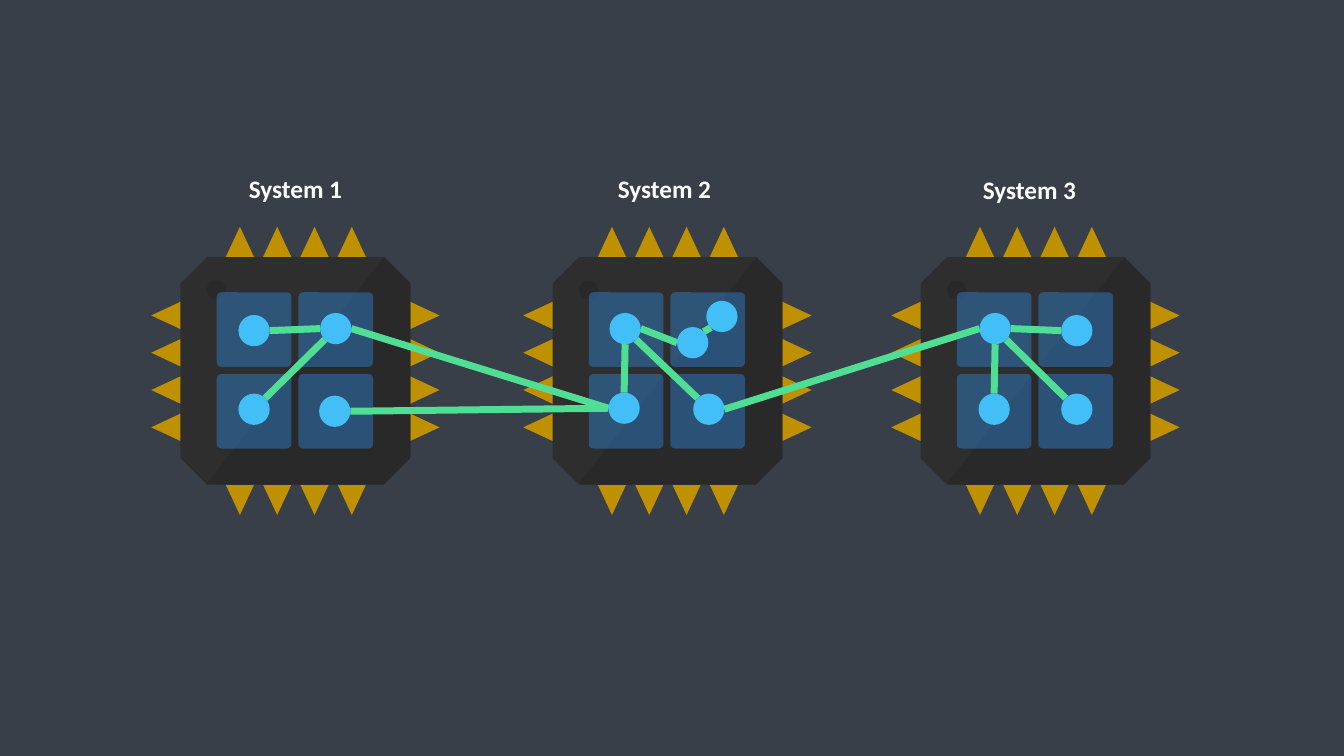
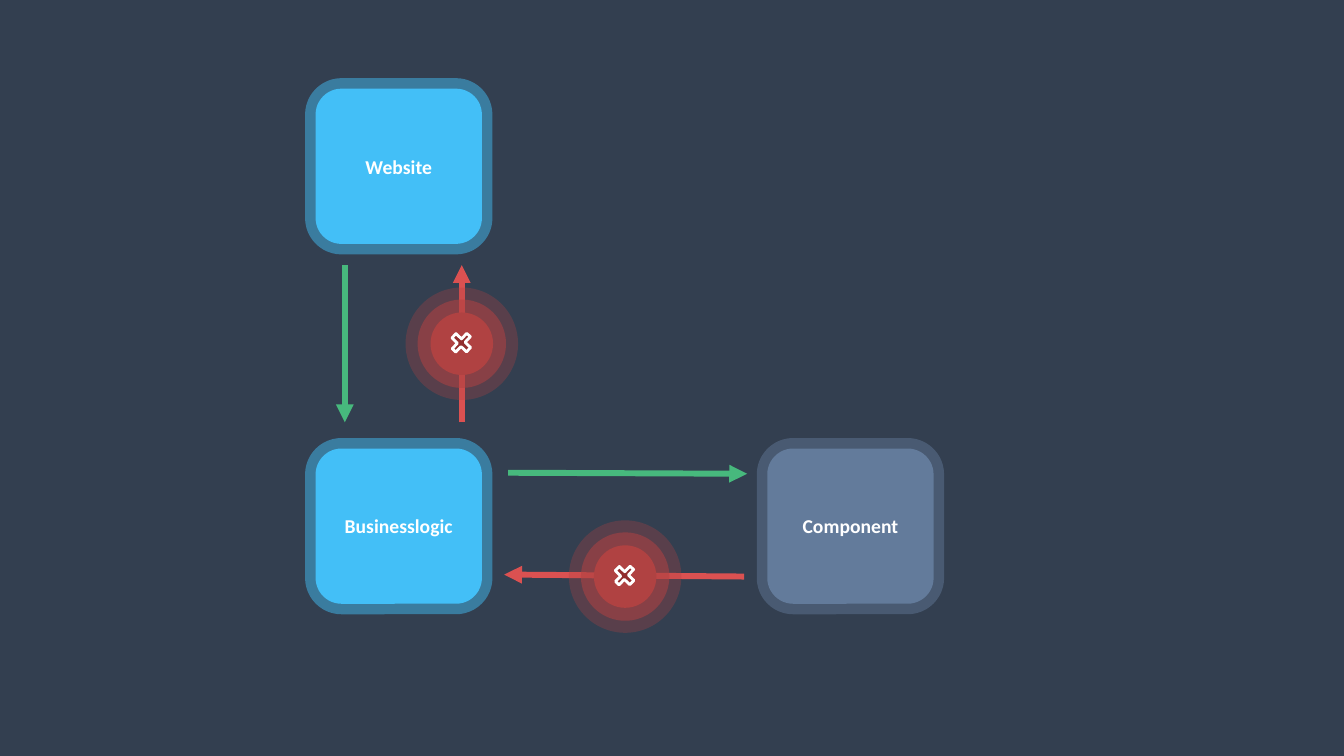
from dataclasses import dataclass
from math import cos, radians, sin

from lxml import etree
from pptx import Presentation
from pptx.dml.color import RGBColor
from pptx.enum.shapes import MSO_CONNECTOR, MSO_SHAPE
from pptx.enum.text import MSO_ANCHOR, PP_ALIGN
from pptx.oxml.ns import qn
from pptx.util import Inches, Pt

STRAIGHT = MSO_CONNECTOR.STRAIGHT
OCTAGON, OVAL, CROSS = MSO_SHAPE.OCTAGON, MSO_SHAPE.OVAL, MSO_SHAPE.CROSS
ROUNDED = MSO_SHAPE.ROUNDED_RECTANGLE
LEFT, CENTER = PP_ALIGN.LEFT, PP_ALIGN.CENTER
TOP, MIDDLE = MSO_ANCHOR.TOP, MSO_ANCHOR.MIDDLE
E, SE, S, SW, W, NW, N, NE = range(0, 360, 45)


@dataclass(frozen=True)
class Theme:
    """Colours, font and type sizes of the deck."""
    chip_page: str = "383F48"
    flow_page: str = "333F50"
    pin: str = "BF9000"
    chip: str = "2E2E2E"
    chip_shade: str = "292929"
    core: str = "2E75B6"
    link: str = "50DE94"
    blue: str = "43BFF7"
    slate: str = "637B9B"
    allowed: str = "47B97D"
    denied: str = "DB5151"
    badge: str = "B04242"
    cross: str = "922E2E"
    white: str = "FFFFFF"
    font: str = "Calibri"
    heading_size: int = 18
    label_size: int = 14


THEME = Theme()

CHIP_TOP = 2.25
CHIP_SPAN = 2.86
PIN_LENGTH = 0.3
NODE_SIZE = 0.31

# Chip left, heading left, heading top, heading
SYSTEMS = [
    (1.5, 2.37, 1.67, "System 1"),
    (5.19, 6.03, 1.67, "System 2"),
    (8.84, 9.65, 1.68, "System 3"),
]

# Centre of each node: system number and position on its chip
NODES = {
    "1 top left": (2.52, 3.28), "1 top right": (3.33, 3.26),
    "1 low left": (2.52, 4.06), "1 low right": (3.32, 4.08),
    "2 top left": (6.2, 3.26), "2 top right": (6.87, 3.4),
    "2 corner": (7.16, 3.14),
    "2 low left": (6.19, 4.05), "2 low right": (7.03, 4.06),
    "3 top left": (9.87, 3.26), "3 top right": (10.68, 3.28),
    "3 low left": (9.86, 4.06), "3 low right": (10.68, 4.06),
}

# Start node, side it leaves, end node, side it enters
LINKS = [
    ("3 top left", W, "2 low right", E),
    ("2 low left", W, "1 top right", E),
    ("2 low left", W, "1 low right", E),
    ("2 top left", S, "2 low left", N),
    ("1 top right", W, "1 top left", E),
    ("1 top right", SW, "1 low left", NE),
    ("3 top left", S, "3 low left", N),
    ("3 top left", SE, "3 low right", NW),
    ("2 top left", SE, "2 low right", NW),
    ("3 top left", E, "3 top right", W),
    ("2 top right", W, "2 top left", E),
    ("2 top right", NE, "2 corner", SW),
]


def set_alpha(shape, route, alpha):
    """Make the colour found at a route below spPr partly opaque."""
    colour = shape.element.spPr.find("/".join(qn(tag) for tag in route))
    etree.SubElement(colour, qn("a:alpha")).set("val", str(alpha * 1000))


def paint(shape, fill=None, line=None, weight=1, fill_alpha=100, line_alpha=100):
    """Set fill and outline of a shape and drop its shadow."""
    shape.shadow.inherit = False
    if fill:
        shape.fill.solid()
        shape.fill.fore_color.rgb = RGBColor.from_string(fill)
        if fill_alpha < 100:
            set_alpha(shape, ("a:solidFill", "a:srgbClr"), fill_alpha)
    else:
        shape.fill.background()
    if line:
        shape.line.color.rgb = RGBColor.from_string(line)
        shape.line.width = Pt(weight)
        if line_alpha < 100:
            set_alpha(shape, ("a:ln", "a:solidFill", "a:srgbClr"), line_alpha)
    else:
        shape.line.fill.background()
    return shape


def add_block(shapes, kind, left, top, width, height, corner=None, **look):
    """Add a painted preset shape."""
    block = shapes.add_shape(
        kind, Inches(left), Inches(top), Inches(width), Inches(height))
    if corner is not None:
        block.adjustments[0] = corner
    return paint(block, **look)


def add_outline(shapes, contours, fill):
    """Add one filled freeform made of closed contours."""
    points = [[(Inches(x), Inches(y)) for x, y in contour]
              for contour in contours]
    builder = shapes.build_freeform(*points[0][0])
    for number, contour in enumerate(points):
        if number:
            builder.move_to(*contour[0])
        builder.add_line_segments(contour[1:], close=True)
    return paint(builder.convert_to_shape(), fill)


def add_line(shapes, start, end, colour, weight, arrow=False):
    """Add a straight line, with an arrowhead at its end if asked."""
    line = shapes.add_connector(
        STRAIGHT, *(Inches(value) for value in (*start, *end)))
    line.line.color.rgb = RGBColor.from_string(colour)
    line.line.width = Pt(weight)
    if arrow:
        outline = line.element.spPr.find(qn("a:ln"))
        etree.SubElement(outline, qn("a:tailEnd")).set("type", "triangle")
    etree.SubElement(line.element.spPr, qn("a:effectLst"))
    return line


def write_text(shape, text, size, align=LEFT, anchor=TOP):
    """Write bold white text into a shape."""
    frame = shape.text_frame
    frame.word_wrap = True
    frame.vertical_anchor = anchor
    para = frame.paragraphs[0]
    para.alignment = align
    span = para.add_run()
    span.text = text
    span.font.name = THEME.font
    span.font.size = Pt(size)
    span.font.bold = True
    span.font.color.rgb = RGBColor.from_string(THEME.white)


def add_page(deck, colour):
    """Add a blank page with a plain background."""
    page = deck.slides.add_slide(deck.slide_layouts[6])
    page.background.fill.solid()
    page.background.fill.fore_color.rgb = RGBColor.from_string(colour)
    return page


def pin_contours(left):
    """Return the four pins on each of the four sides of a chip."""
    contours = []
    for number in range(4):
        near = 0.74 + 0.37 * number
        pin = [(near, PIN_LENGTH), (near + 0.14, 0), (near + 0.28, PIN_LENGTH)]
        contours += [
            pin,
            [(along, CHIP_SPAN - out) for along, out in pin],
            [(out, along) for along, out in pin],
            [(CHIP_SPAN - out, along) for along, out in pin],
        ]
    return [[(left + x, CHIP_TOP + y) for x, y in contour]
            for contour in contours]


def add_chip(page, left):
    """Add a grouped chip with pins, shaded body and four cores."""
    shapes = page.shapes.add_group_shape().shapes
    add_outline(shapes, pin_contours(left), THEME.pin)
    add_block(shapes, OCTAGON, left + 0.29, CHIP_TOP + 0.3, 2.28, 2.26,
              corner=0.117, fill=THEME.chip)
    shade = [(0.55, 2.55), (2.31, 0.3), (2.57, 0.56), (2.57, 2.29), (2.31, 2.55)]
    add_outline(shapes, [[(left + x, CHIP_TOP + y) for x, y in shade]],
                THEME.chip_shade)
    add_block(shapes, OVAL, left + 0.55, CHIP_TOP + 0.53, 0.19, 0.19,
              fill=THEME.chip_shade)
    for row in range(2):
        for column in range(2):
            add_block(shapes, ROUNDED, left + 0.65 + 0.81 * column,
                      CHIP_TOP + 0.65 + 0.81 * row, 0.74, 0.74,
                      corner=0.062, fill=THEME.core, fill_alpha=55)


def node_edge(name, angle):
    """Return the point on a node's rim at a clockwise angle from east."""
    x, y = NODES[name]
    radius = NODE_SIZE / 2
    return x + radius * cos(radians(angle)), y + radius * sin(radians(angle))


def add_network(page):
    """Add the links and, above them, the nodes."""
    shapes = page.shapes.add_group_shape().shapes
    for start, leaving, end, entering in LINKS:
        add_line(shapes, node_edge(start, leaving), node_edge(end, entering),
                 THEME.link, 5)
    for x, y in NODES.values():
        add_block(shapes, OVAL, x - NODE_SIZE / 2, y - NODE_SIZE / 2,
                  NODE_SIZE, NODE_SIZE, fill=THEME.blue)


def add_card(page, left, top, text, colour, halo):
    """Add a labelled component with a translucent border."""
    card = add_block(page.shapes, ROUNDED, left, top, 1.65, 1.54, fill=colour,
                     line=colour, weight=15, line_alpha=halo)
    write_text(card, text, THEME.label_size, align=CENTER, anchor=MIDDLE)


def add_denied_badge(page, left, top):
    """Add a round badge with two halos and a diagonal cross."""
    shapes = page.shapes.add_group_shape().shapes
    add_block(shapes, OVAL, left, top, 0.62, 0.62, fill=THEME.badge,
              line=THEME.badge, weight=18.5, line_alpha=54)
    add_block(shapes, OVAL, left, top, 0.62, 0.62,
              line=THEME.badge, weight=35.75, line_alpha=31)
    cross = add_block(shapes, CROSS, left + 0.2, top + 0.2, 0.21, 0.2,
                      corner=0.379, fill=THEME.cross, line=THEME.white, weight=2)
    cross.rotation = 313.5


def build_systems(deck):
    """Build the page with three linked chips."""
    page = add_page(deck, THEME.chip_page)
    for chip_left, _, _, _ in SYSTEMS:
        add_chip(page, chip_left)
    add_network(page)
    for _, left, top, text in SYSTEMS:
        box = page.shapes.add_textbox(
            Inches(left), Inches(top), Inches(1.26), Inches(0.4))
        write_text(box, text, THEME.heading_size)


def build_dependencies(deck):
    """Build the page with allowed and denied dependencies."""
    page = add_page(deck, THEME.flow_page)
    add_card(page, 7.61, 4.45, "Component", THEME.slate, 46)
    add_card(page, 3.13, 0.88, "Website", THEME.blue, 48)
    add_card(page, 3.13, 4.45, "Businesslogic", THEME.blue, 48)
    for start, end, colour in [
        ((4.58, 4.19), (4.58, 2.63), THEME.denied),
        ((3.42, 2.63), (3.42, 4.19), THEME.allowed),
        ((5.04, 4.69), (7.41, 4.7), THEME.allowed),
        ((7.38, 5.72), (5, 5.7), THEME.denied),
    ]:
        add_line(page.shapes, start, end, colour, 4.25, arrow=True)
    add_denied_badge(page, 4.27, 3.1)
    add_denied_badge(page, 5.89, 5.41)


def main():
    """Build and save the deck."""
    deck = Presentation()
    deck.slide_width, deck.slide_height = Inches(13.33), Inches(7.5)
    build_systems(deck)
    build_dependencies(deck)
    deck.save("out.pptx")


main()
